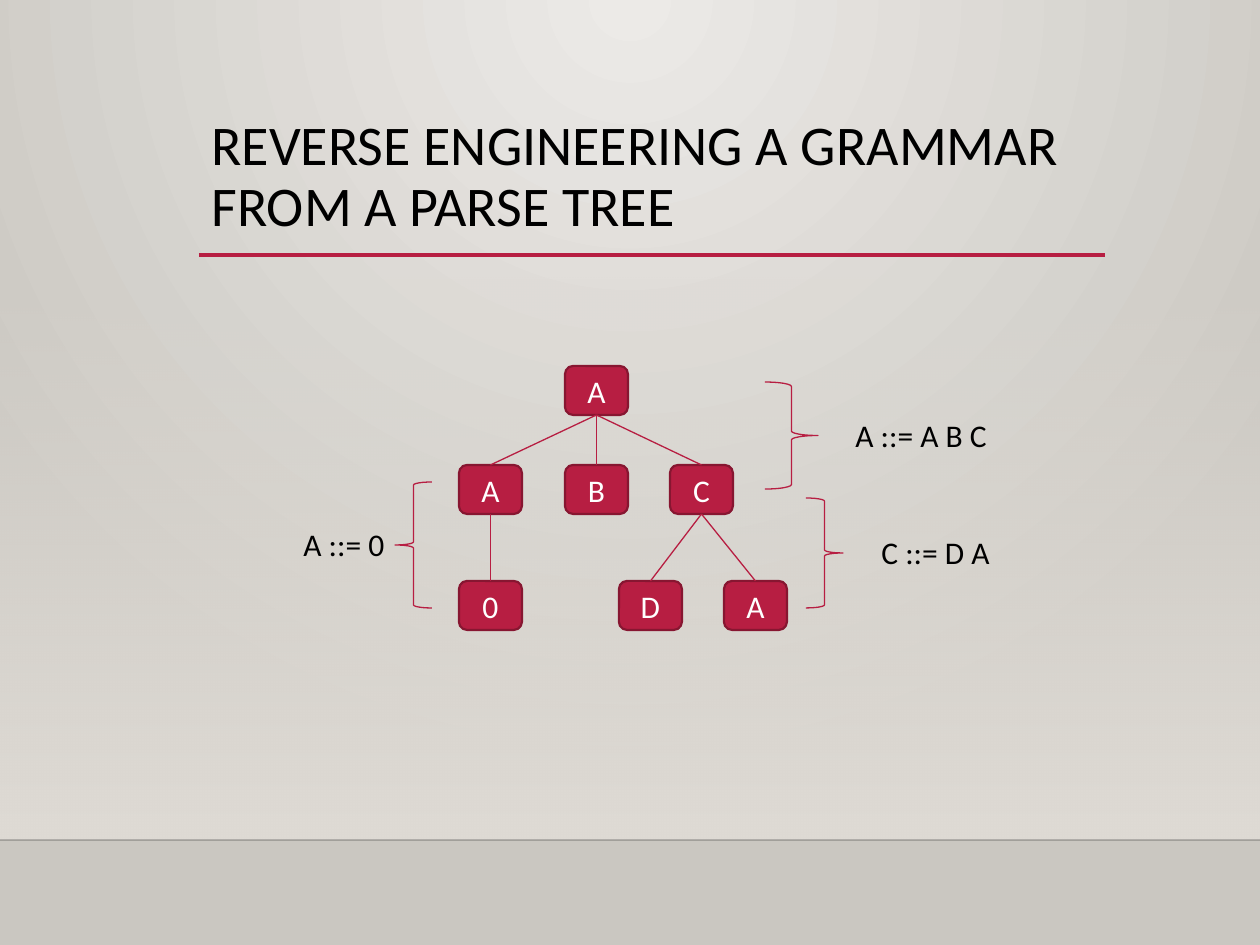
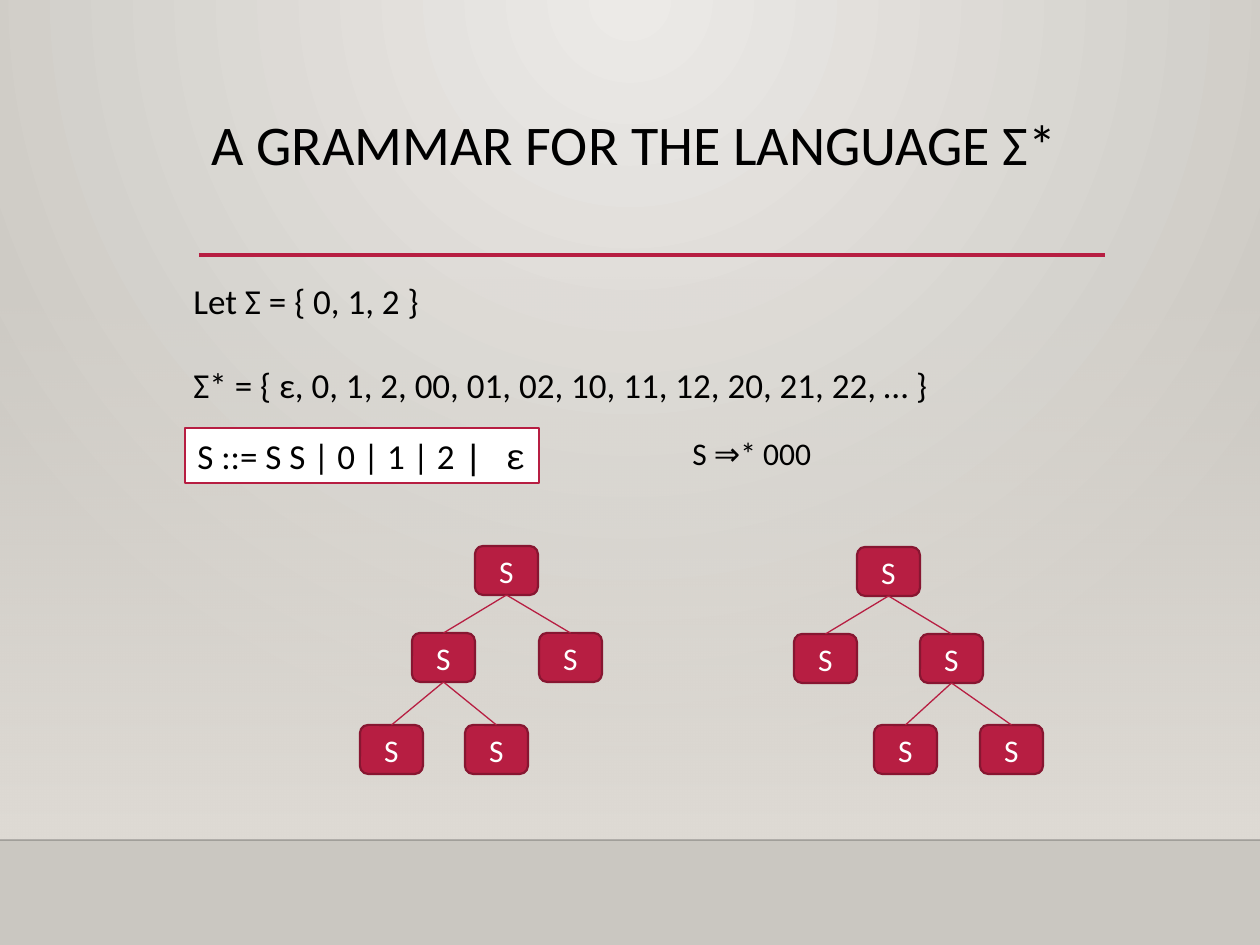
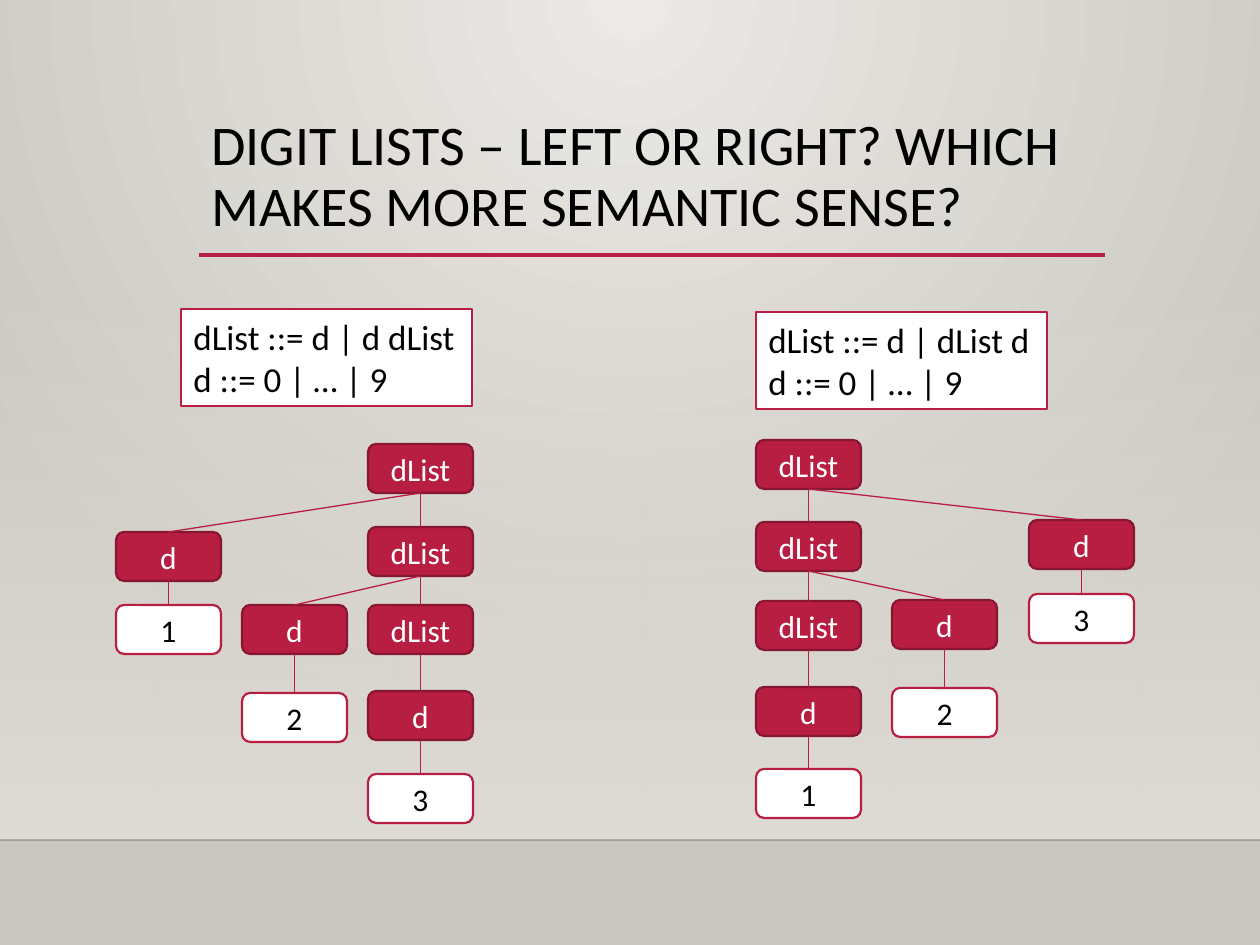
from lxml.etree import SubElement
from pptx import Presentation
from pptx.dml.color import RGBColor
from pptx.enum.shapes import MSO_CONNECTOR, MSO_SHAPE
from pptx.enum.text import MSO_ANCHOR, PP_ALIGN
from pptx.oxml.ns import qn
from pptx.util import Emu, Pt

BLACK = RGBColor(0x00, 0x00, 0x00)
WHITE = RGBColor(0xFF, 0xFF, 0xFF)
CRIMSON = RGBColor(0xB7, 0x1E, 0x42)
MAROON = RGBColor(0x87, 0x16, 0x31)
GLOW = RGBColor(0xEC, 0xEA, 0xE7)
STONE = RGBColor(0xCA, 0xC7, 0xC1)
SAND = RGBColor(0xDF, 0xDB, 0xD5)
EDGE = RGBColor(0x00, 0x00, 0x01)

FONT = "Calibri"
MONO = "Courier New"
PX_PER_INCH = 126
SLIDE_W, SLIDE_H = 1260, 945
BAND_TOP, BAND_BOTTOM = 277, 840
TITLE_BOX = (199, 111, 906, 145)
RULE_Y = 255
NODE_H = 49

SLIDES = [
    {
        "title": "REVERSE ENGINEERING A GRAMMAR FROM A PARSE TREE",
        "node_width": 63,
        "trees": [
            ("A", 565, 366, [
                ("A", 459, 465, [("0", 459, 581, [])]),
                ("B", 565, 465, []),
                ("C", 670, 465, [("D", 619, 581, []), ("A", 724, 581, [])]),
            ]),
        ],
        "labels": [
            (["A ::= A B C"], (843, 410, 159, 50), 18, False),
            (["A ::= 0"], (291, 519, 107, 50), 18, False),
            (["C ::= D A"], (869, 527, 135, 50), 18, False),
        ],
        "braces": [
            (MSO_SHAPE.RIGHT_BRACE, (765, 382, 53, 107)),
            (MSO_SHAPE.LEFT_BRACE, (395, 482, 37, 126)),
            (MSO_SHAPE.RIGHT_BRACE, (806, 498, 37, 110)),
        ],
    },
    {
        "title": "A GRAMMAR FOR THE LANGUAGE Σ*",
        "node_width": 63,
        "trees": [
            ("S", 475, 546, [
                ("S", 412, 633, [("S", 360, 725, []), ("S", 465, 725, [])]),
                ("S", 539, 633, []),
            ]),
            ("S", 857, 547, [
                ("S", 794, 634, []),
                ("S", 920, 634, [("S", 874, 725, []), ("S", 980, 725, [])]),
            ]),
        ],
        "labels": [
            (["Let Σ = { 0, 1, 2 }",
              "Σ* = { ε, 0, 1, 2, 00, 01, 02, 10, 11, 12, 20, 21, 22, … }"],
             (181, 273, 868, 140), 20, False),
            ([[("S ::= S S | 0 | 1 | 2 ", FONT), ("| ε", MONO)]],
             (185, 428, 354, 55), 20, True),
            (["S ⇒* 000"], (680, 428, 150, 50), 18, False),
        ],
    },
    {
        "title": "DIGIT LISTS – LEFT OR RIGHT? WHICH MAKES MORE SEMANTIC SENSE?",
        "node_width": 105,
        "terminals": "123",
        "trees": [
            ("dList", 368, 444, [
                ("d", 116, 532, [("1", 116, 605, [])]),
                ("dList", 368, 527, [
                    ("d", 242, 605, [("2", 242, 693, [])]),
                    ("dList", 368, 605, [
                        ("d", 368, 691, [("3", 368, 774, [])]),
                    ]),
                ]),
            ]),
            ("dList", 756, 440, [
                ("dList", 756, 522, [
                    ("dList", 756, 601, [
                        ("d", 756, 687, [("1", 756, 769, [])]),
                    ]),
                    ("d", 892, 600, [("2", 892, 688, [])]),
                ]),
                ("d", 1029, 520, [("3", 1029, 594, [])]),
            ]),
        ],
        "labels": [
            (["dList ::= d | d dList", "d ::= 0 | … | 9"], (181, 309, 291, 97), 20, True),
            (["dList ::= d | dList d", "d ::= 0 | … | 9"], (756, 312, 291, 97), 20, True),
        ],
    },
]


def px(*lengths):
    return [Emu(round(length * 914400 / PX_PER_INCH)) for length in lengths]


def write(shape, paragraphs, *, size=18, color=BLACK, align=PP_ALIGN.LEFT,
          anchor=MSO_ANCHOR.TOP, wrap=True, line_spacing=None, gap=0):
    frame = shape.text_frame
    frame.word_wrap = wrap
    frame.vertical_anchor = anchor
    for index, content in enumerate(paragraphs):
        paragraph = frame.add_paragraph() if index else frame.paragraphs[0]
        paragraph.alignment = align
        paragraph.line_spacing = line_spacing
        paragraph.space_before = Pt(gap if index else 0)
        runs = [(content, FONT)] if isinstance(content, str) else content
        for text, font in runs:
            run = paragraph.add_run()
            run.text = text
            run.font.name = font
            run.font.size = Pt(size)
            run.font.color.rgb = color


def add_box(slide, kind, box, fill=None, line=None, width=0.75):
    shape = slide.shapes.add_shape(kind, *px(*box))
    shape.shadow.inherit = False
    if fill is None:
        shape.fill.background()
    else:
        shape.fill.solid()
        shape.fill.fore_color.rgb = fill
    if line is None:
        shape.line.fill.background()
    else:
        shape.line.color.rgb = line
        shape.line.width = Pt(width)
    return shape


def add_line(slide, start, end, color=CRIMSON, width=0.75):
    line = slide.shapes.add_connector(MSO_CONNECTOR.STRAIGHT, *px(*start, *end))
    line.line.color.rgb = color
    line.line.width = Pt(width)
    SubElement(line.element.spPr, qn("a:effectLst"))
    return line


def set_gradient(fill, colors):
    fill.gradient()
    for position, (stop, color) in enumerate(zip(fill.gradient_stops, colors)):
        stop.color.rgb = color
        stop.position = position


def set_alpha(element, percent):
    color = next(element.iter(qn("a:srgbClr")))
    SubElement(color, qn("a:alpha"), val=str(percent * 1000))


def paint_background(master):
    set_gradient(master.background.fill, (GLOW, STONE))
    gradient = next(master.element.iter(qn("a:gradFill")))
    gradient.remove(gradient.find(qn("a:lin")))
    circle = SubElement(gradient, qn("a:path"), path="circle")
    SubElement(circle, qn("a:fillToRect"), l="43000", t="0", r="43000", b="100000")


def add_frame(slide, title):
    band = add_box(slide, MSO_SHAPE.RECTANGLE,
                   (0, BAND_TOP, SLIDE_W, BAND_BOTTOM - BAND_TOP))
    set_gradient(band.fill, (SAND, SAND))
    band.fill.gradient_angle = 270
    set_alpha(band.element, 0)
    floor = add_line(slide, (0, BAND_BOTTOM), (SLIDE_W, BAND_BOTTOM), EDGE, 1)
    set_alpha(floor.element, 20)
    left, _, width, _ = TITLE_BOX
    add_line(slide, (left, RULE_Y), (left + width, RULE_Y), width=2.5)
    write(slide.shapes.add_textbox(*px(*TITLE_BOX)), [title], size=32, line_spacing=0.9)


def add_tree(slide, tree, width, terminals):
    symbol, left, top, children = tree
    terminal = symbol in terminals
    fill, line, color = (WHITE, CRIMSON, BLACK) if terminal else (CRIMSON, MAROON, WHITE)
    node = add_box(slide, MSO_SHAPE.ROUNDED_RECTANGLE, (left, top, width, NODE_H),
                   fill, line, 1.25)
    write(node, [symbol], color=color, align=PP_ALIGN.CENTER, anchor=MSO_ANCHOR.MIDDLE)
    for child in children:
        child_node = add_tree(slide, child, width, terminals)
        branch = add_line(slide, (left, top), (left, top))
        branch.begin_connect(node, 2)
        branch.end_connect(child_node, 0)
    return node


def add_label(slide, paragraphs, box, size, framed):
    if framed:
        label = add_box(slide, MSO_SHAPE.RECTANGLE, box, WHITE, CRIMSON)
    else:
        label = slide.shapes.add_textbox(*px(*box))
    write(label, paragraphs, size=size, wrap=framed, gap=0 if framed else 24)


def main():
    prs = Presentation()
    prs.slide_width, prs.slide_height = px(SLIDE_W, SLIDE_H)
    paint_background(prs.slide_master)
    for content in SLIDES:
        slide = prs.slides.add_slide(prs.slide_layouts[6])
        add_frame(slide, content["title"])
        for tree in content["trees"]:
            add_tree(slide, tree, content["node_width"], content.get("terminals", ""))
        for label in content["labels"]:
            add_label(slide, *label)
        for kind, box in content.get("braces", []):
            add_box(slide, kind, box, line=CRIMSON)
    prs.save("out.pptx")


if __name__ == "__main__":
    main()
